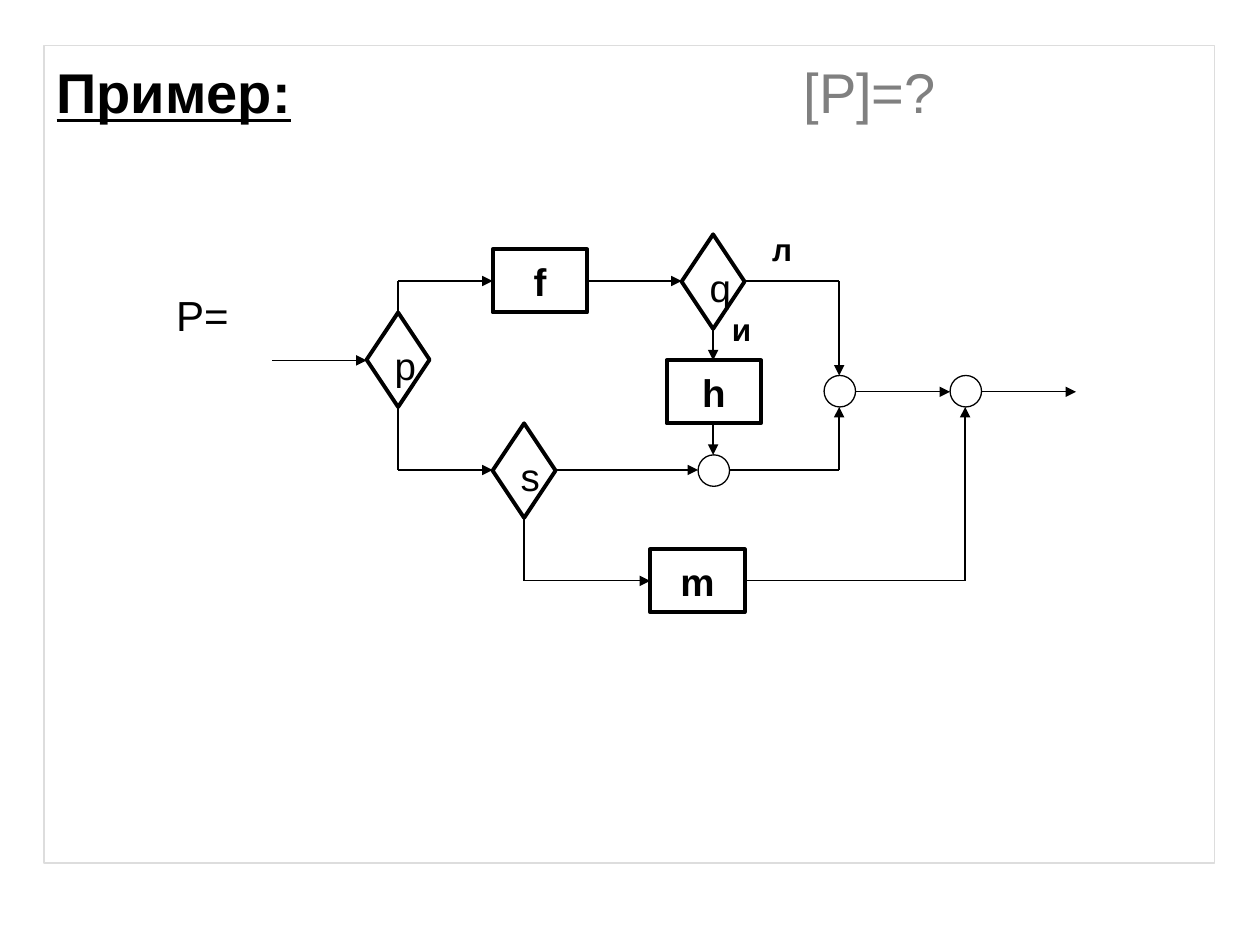
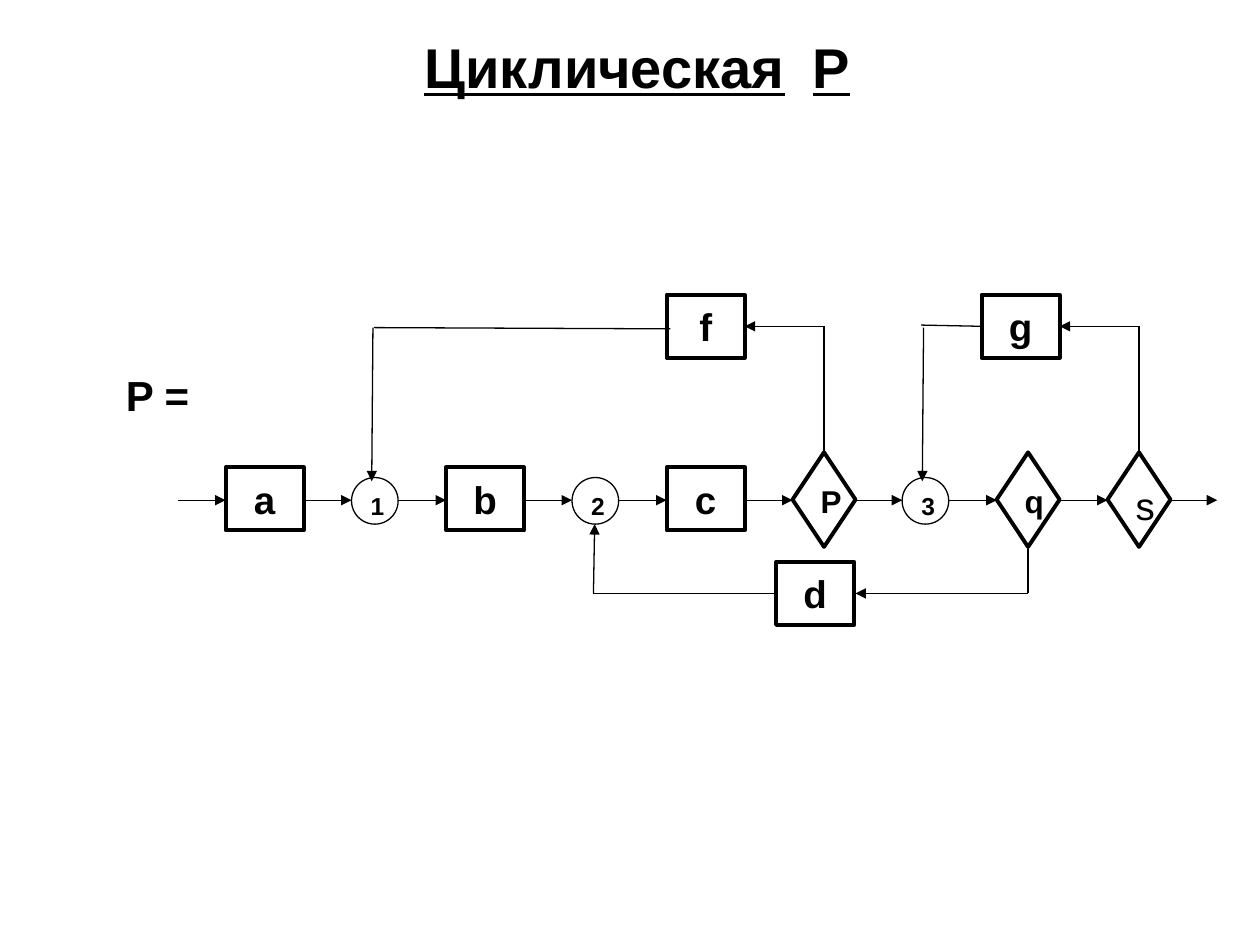
from itertools import pairwise

from lxml import etree
from pptx import Presentation
from pptx import util as u
from pptx.enum import shapes, text
from pptx.dml.color import RGBColor
from pptx.oxml.ns import qn

PX = 9144
COLORS = {"ink": "000000", "paper": "FFFFFF", "muted": "808080", "frame": "DDDDDD"}
FONT = "Arial"
KINDS = {
    "step": dict(preset=shapes.MSO_SHAPE.RECTANGLE, line=2.25),
    "test": dict(preset=shapes.MSO_SHAPE.FLOWCHART_DECISION, line=2.25),
    "join": dict(preset=shapes.MSO_SHAPE.OVAL, line=0.75),
}


def px(value):
    """Turn px into EMU."""
    return u.Emu(value * PX)


def color(name):
    """Look up a palette colour."""
    return RGBColor.from_string(COLORS[name])


def add_span(para, content, size=22, bold=False, underline=False, ink="ink"):
    """Append one formatted run to a paragraph."""
    span = para.add_run()
    span.text = content
    font = span.font
    font.name, font.size = FONT, u.Pt(size)
    font.bold, font.underline = bold, underline
    font.color.rgb = color(ink)


def add_tab(para, position):
    """Give a paragraph one left tab stop."""
    stops = etree.SubElement(para._p.get_or_add_pPr(), qn("a:tabLst"))
    etree.SubElement(stops, qn("a:tab"), pos=str(px(position)), algn="l")


class Diagram:
    """Flow diagram style together with the current slide."""

    def __init__(self, deck):
        """Keep the deck to which slides are added."""
        self.deck = deck
        self.page = None

    def new_page(self):
        """Start a blank slide."""
        self.page = self.deck.slides.add_slide(self.deck.slide_layouts[6])
        self.page.background.fill.solid()
        self.page.background.fill.fore_color.rgb = color("paper")

    def frame(self, left, top, width, height):
        """Draw the thin outline around the slide body."""
        box = self.page.shapes.add_shape(
            shapes.MSO_SHAPE.RECTANGLE, px(left), px(top), px(width), px(height))
        box.shadow.inherit = False
        box.fill.background()
        box.line.color.rgb = color("frame")
        box.line.width = u.Pt(0.75)
        return box

    def set_text(self, box, content, anchor, align, tab=None, tail=None, **style):
        """Fill a box with a line of text and an optional muted tail at the tab."""
        body = box.text_frame
        body.word_wrap = True
        body.vertical_anchor = anchor
        para = body.paragraphs[0]
        if tab:
            add_tab(para, tab)
        para.alignment = align
        add_span(para, content, **style)
        if tail:
            add_span(para, "\t" + tail, size=style["size"], ink="muted")

    def label(self, content, left, top, width, height, **style):
        """Add a text box."""
        box = self.page.shapes.add_textbox(px(left), px(top), px(width), px(height))
        self.set_text(box, content, text.MSO_ANCHOR.TOP, text.PP_ALIGN.LEFT, **style)

    def node(self, kind, content, left, top, width, height, **style):
        """Add a step, test or join."""
        look = KINDS[kind]
        box = self.page.shapes.add_shape(
            look["preset"], px(left), px(top), px(width), px(height))
        box.shadow.inherit = False
        box.fill.solid()
        box.fill.fore_color.rgb = color("paper")
        box.line.color.rgb = color("ink")
        box.line.width = u.Pt(look["line"])
        if content and kind == "step":
            self.set_text(box, content, text.MSO_ANCHOR.MIDDLE, text.PP_ALIGN.CENTER,
                          bold=True)
        elif content:
            self.set_text(box, content, text.MSO_ANCHOR.TOP, text.PP_ALIGN.LEFT,
                          **style)

    def route(self, *points, arrow=True):
        """Join points with straight lines, the last one ending in an arrowhead."""
        for start, end in pairwise(points):
            line = self.page.shapes.add_connector(
                shapes.MSO_CONNECTOR.STRAIGHT, *map(px, start + end))
            line.line.color.rgb = color("ink")
            line.line.width = u.Pt(0.75)
            if arrow and end == points[-1]:
                etree.SubElement(line.line._get_or_add_ln(), qn("a:tailEnd"),
                                 type="triangle")
            etree.SubElement(line._element.spPr, qn("a:effectLst"))


def branching_page(diagram):
    """Draw the example with nested branches."""
    diagram.new_page()
    box = diagram.frame(35, 36, 929, 649)
    box.text_frame.margin_top = px(10)
    diagram.set_text(box, "Пример:", text.MSO_ANCHOR.TOP, text.PP_ALIGN.LEFT,
                     tab=593, tail="[P]=?", size=32, bold=True, underline=True)

    for name, left, top in (("f", 391, 198), ("h", 529, 286), ("m", 516, 436)):
        diagram.node("step", name, left, top, 75, 50)
    for name, left, top in (("p", 291, 248), ("s", 391, 336), ("q", 541, 186)):
        diagram.node("test", name, left, top, 50, 75)
    for left, top in ((554, 361), (654, 298), (754, 298)):
        diagram.node("join", "", left, top, 25, 25)

    for points in (
        ((216, 286), (291, 286)),
        ((316, 248), (316, 223), (391, 223)),
        ((316, 323), (316, 373), (391, 373)),
        ((466, 223), (541, 223)),
        ((566, 261), (566, 286)),
        ((566, 336), (566, 361)),
        ((441, 373), (554, 373)),
        ((416, 411), (416, 461), (516, 461)),
        ((591, 223), (666, 223), (666, 298)),
        ((579, 373), (666, 373), (666, 323)),
        ((591, 461), (766, 461), (766, 323)),
        ((679, 311), (754, 311)),
        ((779, 311), (854, 311)),
    ):
        diagram.route(*points)

    diagram.label("P=", 130, 225, 79, 50, size=24)
    diagram.label("л", 603, 178, 36, 40, size=18, bold=True)
    diagram.label("и", 571, 241, 35, 40, size=18, bold=True)


def loop_page(diagram):
    """Draw the program with three loops."""
    diagram.new_page()
    diagram.label("Циклическая\tР", 327, 21, 362, 64, tab=308,
                  size=32, bold=True, underline=True)

    axis, end = 397, 141
    sizes = {"step": (62, 50, 371), "test": (50, 75, 359), "join": (37, 37, 379)}
    small, plain = dict(size=14, bold=True), dict(size=22)
    medium = dict(size=18, bold=True)
    for kind, name, left, style in (
        ("step", "a", 179, {}), ("join", "1", 279, small),
        ("step", "b", 354, {}), ("join", "2", 454, small),
        ("step", "c", 529, {}), ("test", "P", 629, medium),
        ("join", "3", 716, small), ("test", "q", 791, medium),
        ("test", "s", 879, plain),
    ):
        width, height, top = sizes[kind]
        diagram.node(kind, name, left, top, width, height, **style)
        diagram.route((end, axis), (left, axis))
        end = left + width
    diagram.route((end, axis), (966, axis))

    for name, left, top in (("f", 529, 234), ("g", 779, 234), ("d", 616, 446)):
        diagram.node("step", name, left, top, 62, 50)
    for points in (
        ((654, 359), (654, 259), (591, 259)),
        ((904, 359), (904, 259), (841, 259)),
        ((816, 434), (816, 471), (679, 471)),
        ((614, 471), (471, 471), (472, 416)),
        ((296, 260), (295, 382)),
        ((733, 260), (732, 382)),
    ):
        diagram.route(*points)
    diagram.route((532, 261), (297, 260), arrow=False)
    diagram.route((779, 259), (731, 258), arrow=False)
    diagram.label("P =", 90, 288, 79, 50, size=24, bold=True)


def main():
    """Build and save the deck."""
    deck = Presentation()
    deck.slide_width, deck.slide_height = px(1000), px(750)
    diagram = Diagram(deck)
    branching_page(diagram)
    loop_page(diagram)
    deck.save("out.pptx")


if __name__ == "__main__":
    main()
